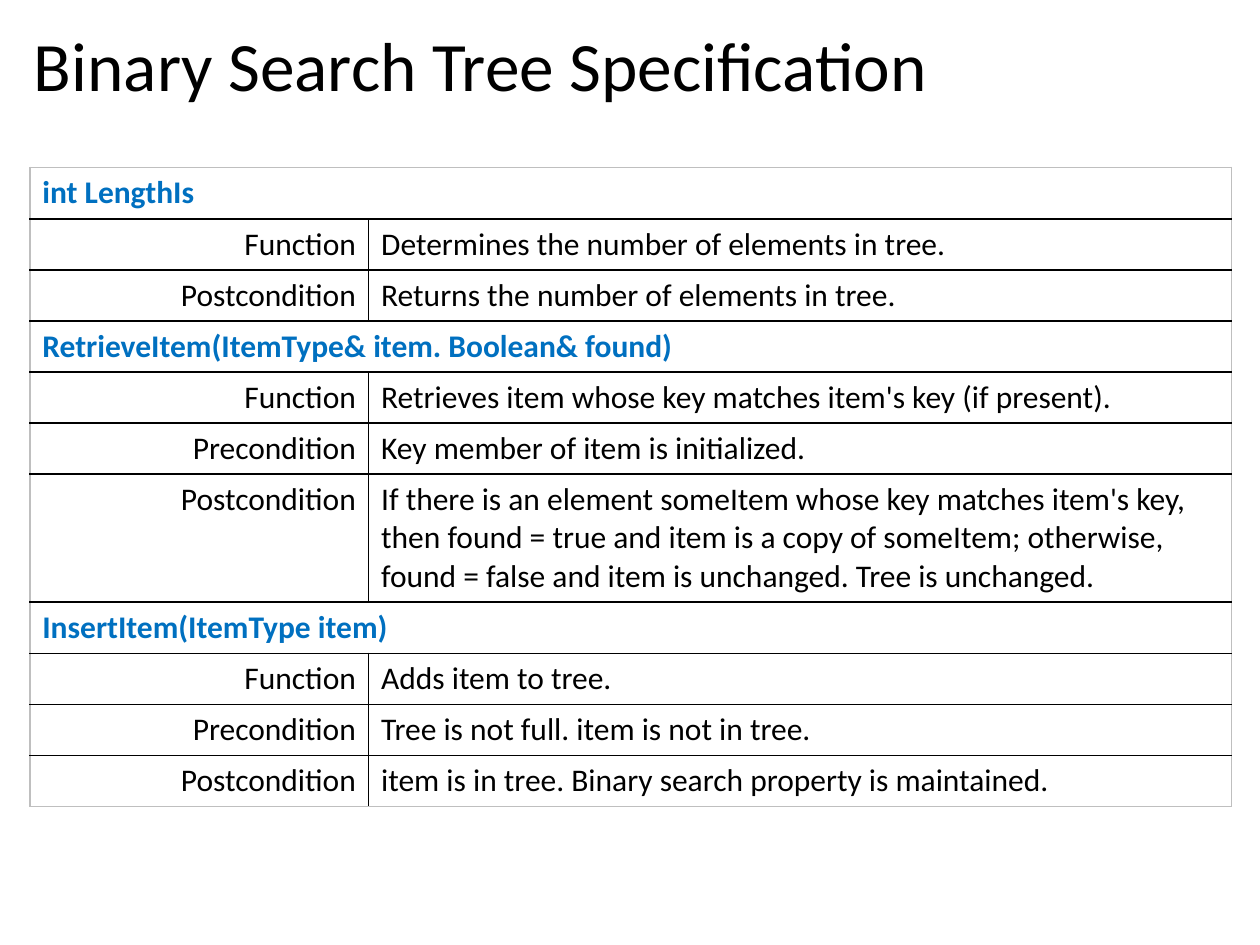
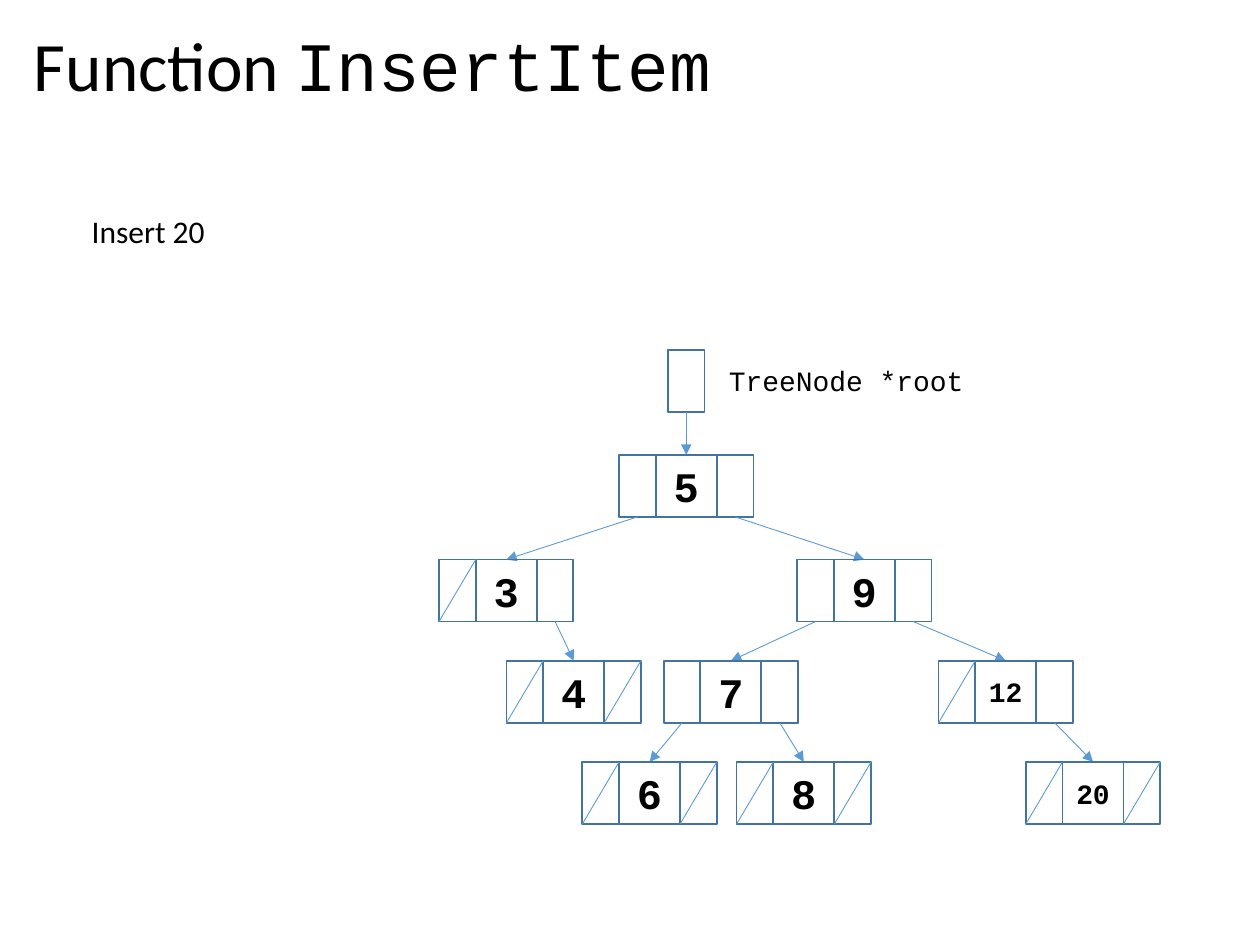
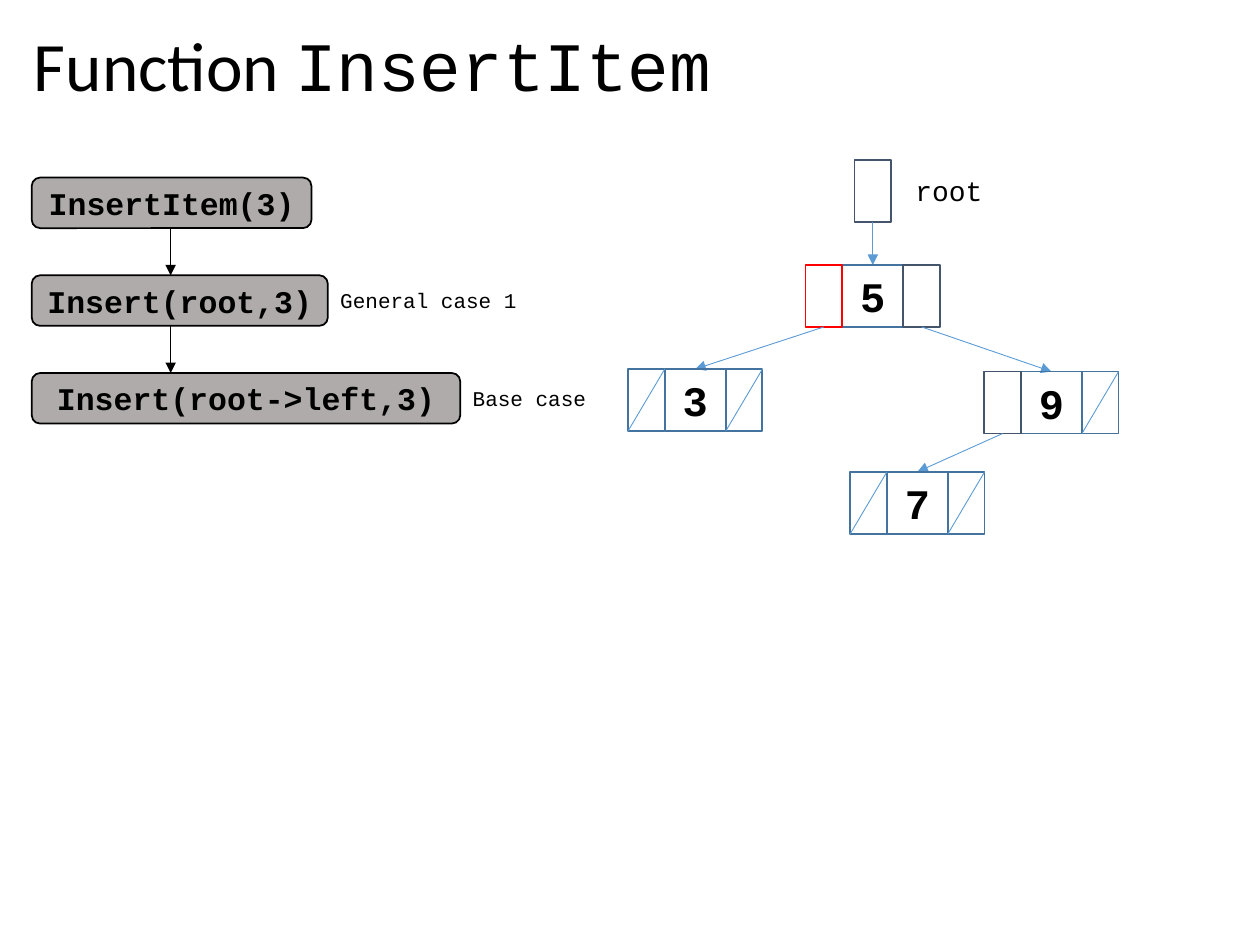
from dataclasses import dataclass

from lxml.etree import SubElement
from pptx import Presentation
from pptx.dml.color import RGBColor as RGB
from pptx.enum.shapes import MSO_CONNECTOR as CONNECTOR, MSO_SHAPE as SHAPE
from pptx.enum.text import MSO_ANCHOR as ANCHOR, MSO_AUTO_SIZE as AUTO_SIZE, PP_ALIGN as ALIGN
from pptx.oxml.ns import qn
from pptx.util import Cm, Pt


@dataclass(frozen=True)
class Theme:
    sans: str = "Calibri"
    mono: str = "Courier New"
    black: str = "000000"
    heading: str = "0070C0"
    frame: str = "BFBFBF"
    node: str = "43739E"
    link: str = "5B9BD5"
    slate: str = "44546A"
    visited: str = "FF0000"
    call: str = "AFABAB"
    title_size: float = 39.6
    text_size: int = 18
    key_size: int = 24
    code_size: int = 16
    note_size: int = 12


theme = Theme()


def add_line(slide, start, end, colour, arrow=False):
    line = slide.shapes.add_connector(CONNECTOR.STRAIGHT, *map(Cm, start + end))
    line.line.color.rgb = RGB.from_string(colour)
    line.line.width = Pt(0.5)
    if arrow:
        SubElement(line.line._get_or_add_ln(), qn("a:tailEnd"), type="triangle")
    SubElement(line._element.spPr, qn("a:effectLst"))


def add_box(slide, preset, place, colour, text="", size=theme.text_size, fill=None):
    box = slide.shapes.add_shape(preset, *map(Cm, place))
    box.shadow.inherit = False
    box.line.color.rgb = RGB.from_string(colour)
    box.line.width = Pt(1)
    if fill:
        box.fill.solid()
        box.fill.fore_color.rgb = RGB.from_string(fill)
    else:
        box.fill.background()
    if text:
        frame = box.text_frame
        frame.margin_left = frame.margin_right = 0
        frame.vertical_anchor = ANCHOR.MIDDLE
        paragraph = frame.paragraphs[0]
        paragraph.text = text
        paragraph.alignment = ALIGN.CENTER
        paragraph.font.name = theme.mono
        paragraph.font.size = Pt(size)
        paragraph.font.bold = True
        paragraph.font.color.rgb = RGB.from_string(theme.black)


deck = Presentation()
deck.slide_width, deck.slide_height = Cm(25.4), Cm(19.05)

# Slides and titles
insert_title = [("Function ", theme.sans), ("InsertItem", theme.mono)]
titles = [[("Binary Search Tree Specification", theme.sans)], insert_title, insert_title]
for title_runs in titles:
    title = deck.slides.add_slide(deck.slide_layouts[5]).shapes.title
    title.left, title.top, title.width, title.height = map(Cm, (0.43, 0.46, 24.43, 1.88))
    title.text_frame.auto_size = AUTO_SIZE.NONE
    title.text_frame.vertical_anchor = ANCHOR.MIDDLE
    paragraph = title.text_frame.paragraphs[0]
    paragraph.alignment = ALIGN.LEFT
    paragraph.line_spacing = 0.9
    paragraph.font.size = Pt(theme.title_size)
    paragraph.font.color.rgb = RGB.from_string(theme.black)
    for words, font in title_runs:
        run = paragraph.add_run()
        run.text = words
        run.font.name = font
spec_slide, insert_slide, trace_slide = deck.slides

# Specification table: a row without a description is a heading
specification = [
    ("int LengthIs", None),
    ("Function", "Determines the number of elements in tree."),
    ("Postcondition", "Returns the number of elements in tree."),
    ("RetrieveItem(ItemType& item. Boolean& found)", None),
    ("Function", "Retrieves item whose key matches item's key (if present)."),
    ("Precondition", "Key member of item is initialized."),
    ("Postcondition", "If there is an element someItem whose key matches item's key, "
     "then found = true and item is a copy of someItem; otherwise, "
     "found = false and item is unchanged. Tree is unchanged."),
    ("InsertItem(ItemType item)", None),
    ("Function", "Adds item to tree."),
    ("Precondition", "Tree is not full. item is not in tree."),
    ("Postcondition", "item is in tree. Binary search property is maintained."),
]
last_row = len(specification) - 1
table = spec_slide.shapes.add_table(len(specification), 2, Cm(0.6), Cm(3.38),
                                    Cm(24.23), Cm(12.88)).table
table.first_row = table.horz_banding = False
table.columns[0].width, table.columns[1].width = Cm(6.83), Cm(17.4)
for row, (term, description) in enumerate(specification):
    is_heading = description is None
    table.rows[row].height = Cm(2.58 if len(description or "") > 100 else 1.03)
    if is_heading:
        table.cell(row, 0).merge(table.cell(row, 1))
    for column, words in enumerate((term, description)):
        cell = table.cell(row, column)
        outer = {"lnL": column == 0, "lnR": column == 1 or is_heading,
                 "lnT": row == 0, "lnB": row == last_row}
        for side, at_edge in outer.items():
            border = SubElement(cell._tc.get_or_add_tcPr(), qn(f"a:{side}"), w=str(Pt(1)))
            SubElement(SubElement(border, qn("a:solidFill")), qn("a:srgbClr"),
                       val=theme.frame if at_edge else theme.black)
        cell.fill.background()
        if words is None:
            continue
        paragraph = cell.text_frame.paragraphs[0]
        paragraph.text = words
        paragraph.alignment = ALIGN.RIGHT if column == 0 and not is_heading else ALIGN.LEFT
        paragraph.font.name = theme.sans
        paragraph.font.size = Pt(theme.text_size)
        paragraph.font.bold = is_heading
        paragraph.font.color.rgb = RGB.from_string(theme.heading if is_heading else theme.black)

# Trees: key -> left, top, left child, right child; the first key is the root
insert_tree = {
    "5": (12.48, 9.17, "3", "9"),
    "3": (8.85, 11.28, None, "4"),
    "9": (16.07, 11.28, "7", "12"),
    "4": (10.21, 13.32, None, None),
    "7": (13.38, 13.32, "6", "8"),
    "12": (18.92, 13.32, None, "20"),
    "6": (11.74, 15.36, None, None),
    "8": (14.85, 15.36, None, None),
    "20": (20.68, 15.36, None, None),
}
trace_tree = {
    "5": (16.24, 5.34, "3", "9"),
    "3": (12.66, 7.44, None, None),
    "9": (19.84, 7.49, "7", None),
    "7": (17.14, 9.51, None, None),
}
pointer_width, key_width, node_height = 0.74, 1.23, 1.25
node_middle = pointer_width + key_width / 2
root_rise = 2.11
labels = [(insert_slide, "Insert 20", 1.6, 4.14, 6.22, theme.sans, theme.text_size)]

for slide, tree, pointer_colour, new_link, root_label in (
    (insert_slide, insert_tree, theme.node, None, "TreeNode *root"),
    (trace_slide, trace_tree, theme.slate, "3", "root"),
):
    # Root pointer
    left, top = tree["5"][:2]
    root_left, root_top = left + node_middle - pointer_width / 2, top - root_rise
    add_box(slide, SHAPE.RECTANGLE, (root_left, root_top, pointer_width, node_height),
            pointer_colour)
    add_line(slide, (left + node_middle, root_top + node_height),
             (left + node_middle, top), theme.link, arrow=True)
    labels.append((slide, root_label, root_left + 0.98, root_top + 0.15, 5.38,
                   theme.mono, theme.code_size))

    # Nodes, with a slash in each empty pointer
    for key, (left, top, left_child, right_child) in tree.items():
        bottom = top + node_height
        add_box(slide, SHAPE.RECTANGLE, (left + pointer_width, top, key_width, node_height),
                theme.node, key, theme.key_size if len(key) == 1 else theme.code_size)
        for pointer_left, child in ((left + pointer_width + key_width, right_child),
                                    (left, left_child)):
            colour = pointer_colour if child else theme.node
            if child and child == new_link:
                colour = theme.visited
            add_box(slide, SHAPE.RECTANGLE, (pointer_left, top, pointer_width, node_height),
                    colour)
            if child:
                child_left, child_top = tree[child][:2]
                add_line(slide, (pointer_left + pointer_width / 2, bottom),
                         (child_left + node_middle, child_top), theme.link, arrow=True)
            else:
                add_line(slide, (pointer_left + pointer_width, top), (pointer_left, bottom),
                         theme.link)

# Chain of calls
calls = [("InsertItem(3)", 5.64, None),
         ("Insert(root,3)", 5.97, "General case 1"),
         ("Insert(root->left,3)", 8.64, "Base case")]
call_left, call_top, call_step, call_height, arrow_x = 0.64, 3.58, 1.97, 1.02, 3.44
for index, (call, width, case) in enumerate(calls):
    top = call_top + index * call_step
    add_box(trace_slide, SHAPE.ROUNDED_RECTANGLE, (call_left, top, width, call_height),
            theme.black, call, fill=theme.call)
    if index:
        add_line(trace_slide, (arrow_x, top - call_step + call_height), (arrow_x, top),
                 theme.black, arrow=True)
    if case:
        labels.append((trace_slide, case, call_left + width, top + 0.12, 4.45,
                       theme.mono, theme.note_size))

# Labels
for slide, words, left, top, width, font, size in labels:
    label = slide.shapes.add_textbox(Cm(left), Cm(top), Cm(width), Cm(0.9)).text_frame
    label.word_wrap = True
    label.auto_size = AUTO_SIZE.SHAPE_TO_FIT_TEXT
    paragraph = label.paragraphs[0]
    paragraph.text = words
    paragraph.font.name = font
    paragraph.font.size = Pt(size)
    paragraph.font.color.rgb = RGB.from_string(theme.black)

deck.save("out.pptx")
